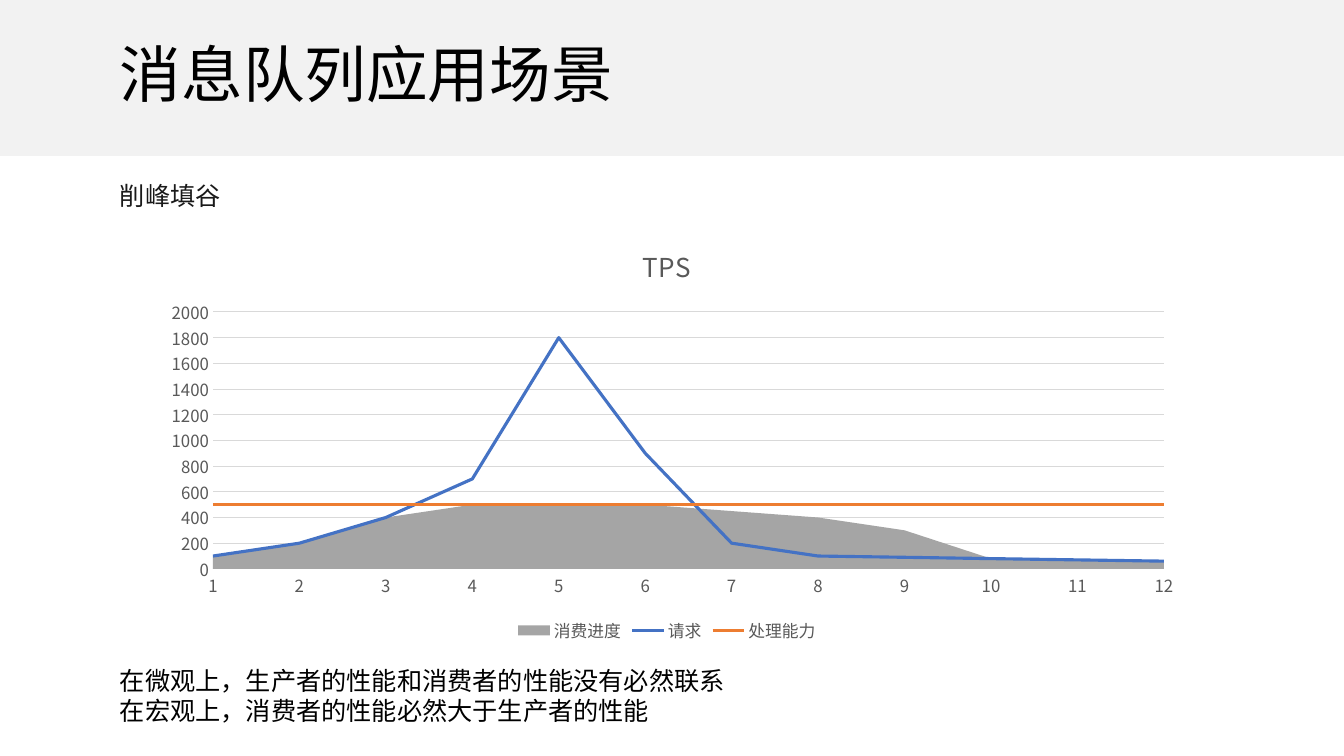
from dataclasses import dataclass

from lxml.etree import SubElement
from pptx import Presentation
from pptx.chart.chart import Chart
from pptx.chart.data import CategoryChartData
from pptx.dml.color import RGBColor as RGB
from pptx.enum.chart import XL_CHART_TYPE as ChartType
from pptx.enum.chart import XL_LEGEND_POSITION as LegendPos
from pptx.enum.chart import XL_TICK_MARK as Tick
from pptx.enum.shapes import MSO_SHAPE as Shape
from pptx.enum.text import MSO_ANCHOR as Anchor
from pptx.oxml.ns import qn
from pptx.slide import Slide
from pptx.text.text import Font
from pptx.util import Emu, Pt

SLIDE_W, SLIDE_H = 1344, 756
EMU_PER_PX = 12192000 / SLIDE_W


@dataclass(frozen=True)
class Theme:
    band: str = "F2F2F2"
    ink: str = "000000"
    soft_ink: str = "1A1A1A"
    label: str = "595959"
    grid: str = "D9D9D9"
    font: str = "Noto Sans CJK SC"
    subtitle_font: str = "Arial"
    title_pt: float = 44
    body_pt: float = 18
    chart_title_pt: float = 18.6
    label_pt: float = 12
    grid_pt: float = 0.75
    series_pt: float = 2.25


@dataclass(frozen=True)
class Box:
    x: int
    y: int
    w: int
    h: int

    def emu(self) -> tuple[Emu, ...]:
        return tuple(px(v) for v in (self.x, self.y, self.w, self.h))


@dataclass(frozen=True)
class TextBlock:
    box: Box
    lines: tuple[str, ...]
    size: float
    color: str
    font: str
    anchor: Anchor = Anchor.TOP
    spacing: float = 1.0


@dataclass(frozen=True)
class Series:
    name: str
    values: tuple[int, ...]
    color: str


THEME = Theme()
BAND = Box(0, 0, SLIDE_W, 156)
CHART = Box(150, 225, 1034, 422)
PLOT = Box(213, 312, 951, 257)
TEXTS = (
    TextBlock(Box(110, 24, 526, 107), ("消息队列应用场景",), THEME.title_pt,
              THEME.ink, THEME.font, Anchor.MIDDLE, 0.9),
    TextBlock(Box(110, 175, 130, 40), ("削峰填谷",), THEME.body_pt,
              THEME.soft_ink, THEME.subtitle_font),
    TextBlock(Box(110, 660, 857, 72),
              ("在微观上，生产者的性能和消费者的性能没有必然联系",
               "在宏观上，消费者的性能必然大于生产者的性能"),
              THEME.body_pt, THEME.ink, THEME.font),
)
PROGRESS = Series("消费进度", (100, 200, 400, 500, 500, 500, 450, 400, 300, 80, 70, 60), "A5A5A5")
LINES = (
    Series("请求", (100, 200, 400, 700, 1800, 900, 200, 100, 90, 80, 70, 60), "4472C4"),
    Series("处理能力", (500,) * 12, "ED7D31"),
)


def px(value: int) -> Emu:
    return Emu(round(value * EMU_PER_PX))


def style_font(font: Font, size: float, color: str, name: str = THEME.font) -> None:
    font.size, font.name, font.bold = Pt(size), name, False
    font.color.rgb = RGB.from_string(color)


def set_east_asian_fonts(root) -> None:
    """Give Chinese characters the same typeface as Latin ones."""
    for latin in list(root.iter(qn("a:latin"))):
        ea = SubElement(latin.getparent(), qn("a:ea"), typeface=latin.get("typeface"))
        latin.addnext(ea)


def add_band(s: Slide) -> None:
    sp = s.shapes.add_shape(Shape.RECTANGLE, *BAND.emu())
    sp.shadow.inherit = False
    sp.fill.solid()
    sp.fill.fore_color.rgb = RGB.from_string(THEME.band)
    sp.line.fill.background()


def add_text(s: Slide, block: TextBlock) -> None:
    sp = s.shapes.add_textbox(*block.box.emu())
    tf = sp.text_frame
    tf.word_wrap = True
    tf.vertical_anchor = block.anchor
    for i, line in enumerate(block.lines):
        p = tf.add_paragraph() if i else tf.paragraphs[0]
        p.line_spacing = block.spacing
        r = p.add_run()
        r.text = line
        style_font(r.font, block.size, block.color, block.font)
    set_east_asian_fonts(sp.element)


def move_first_series_to_area(chart: Chart) -> None:
    """Put the first line series in an area chart behind, on the same axes."""
    line_chart = chart.element.find(".//" + qn("c:lineChart"))
    area = SubElement(line_chart.getparent(), qn("c:areaChart"))
    line_chart.addprevious(area)
    SubElement(area, qn("c:grouping"), val="standard")
    SubElement(area, qn("c:varyColors"), val="0")
    ser = line_chart.find(qn("c:ser"))
    for tag in ("c:marker", "c:smooth"):
        for child in ser.findall(qn(tag)):
            ser.remove(child)
    area.append(ser)
    for axis in line_chart.findall(qn("c:axId")):
        SubElement(area, qn("c:axId"), val=axis.get("val"))


def fix_plot_area(chart: Chart) -> None:
    plot_area = chart.element.find(".//" + qn("c:plotArea"))
    for old in plot_area.findall(qn("c:layout")):
        plot_area.remove(old)
    layout = SubElement(plot_area, qn("c:layout"))
    plot_area.insert(0, layout)
    manual = SubElement(layout, qn("c:manualLayout"))
    settings = {
        "layoutTarget": "inner", "xMode": "edge", "yMode": "edge",
        "x": (PLOT.x - CHART.x) / CHART.w, "y": (PLOT.y - CHART.y) / CHART.h,
        "w": PLOT.w / CHART.w, "h": PLOT.h / CHART.h,
    }
    for name, value in settings.items():
        SubElement(manual, qn(f"c:{name}"), val=str(value))


def style_axes(chart: Chart) -> None:
    grid = RGB.from_string(THEME.grid)
    cat, val = chart.category_axis, chart.value_axis
    for axis in (cat, val):
        axis.major_tick_mark = axis.minor_tick_mark = Tick.NONE
        style_font(axis.tick_labels.font, THEME.label_pt, THEME.label)
    val.minimum_scale, val.maximum_scale, val.major_unit = 0, 2000, 200
    val.has_major_gridlines = True
    val.format.line.fill.background()
    for line in (cat.format.line, val.major_gridlines.format.line):
        line.color.rgb, line.width = grid, Pt(THEME.grid_pt)


def add_tps_chart(s: Slide) -> None:
    data = CategoryChartData()
    data.categories = [str(n) for n in range(1, 13)]
    for series in (PROGRESS, *LINES):
        data.add_series(series.name, series.values)
    chart = s.shapes.add_chart(ChartType.LINE, *CHART.emu(), data).chart
    style_font(chart.font, THEME.label_pt, THEME.label)

    chart.has_title = True
    r = chart.chart_title.text_frame.paragraphs[0].add_run()
    r.text = "TPS"
    style_font(r.font, THEME.chart_title_pt, THEME.label)
    chart.chart_title.include_in_layout = False

    chart.has_legend = True
    chart.legend.position = LegendPos.BOTTOM
    chart.legend.include_in_layout = False
    style_font(chart.legend.font, THEME.label_pt, THEME.label)

    plot = chart.plots[0]
    plot.vary_by_categories = False
    area, *lines = plot.series
    area.format.fill.solid()
    area.format.fill.fore_color.rgb = RGB.from_string(PROGRESS.color)
    area.format.line.fill.background()
    for ser, series in zip(lines, LINES):
        ser.smooth = False
        ser.format.line.color.rgb = RGB.from_string(series.color)
        ser.format.line.width = Pt(THEME.series_pt)

    style_axes(chart)
    move_first_series_to_area(chart)
    fix_plot_area(chart)
    set_east_asian_fonts(chart.element)


def main() -> None:
    prs = Presentation()
    prs.slide_width, prs.slide_height = px(SLIDE_W), px(SLIDE_H)
    s = prs.slides.add_slide(prs.slide_layouts[6])
    add_band(s)
    for block in TEXTS:
        add_text(s, block)
    add_tps_chart(s)
    prs.save("out.pptx")


if __name__ == "__main__":
    main()
